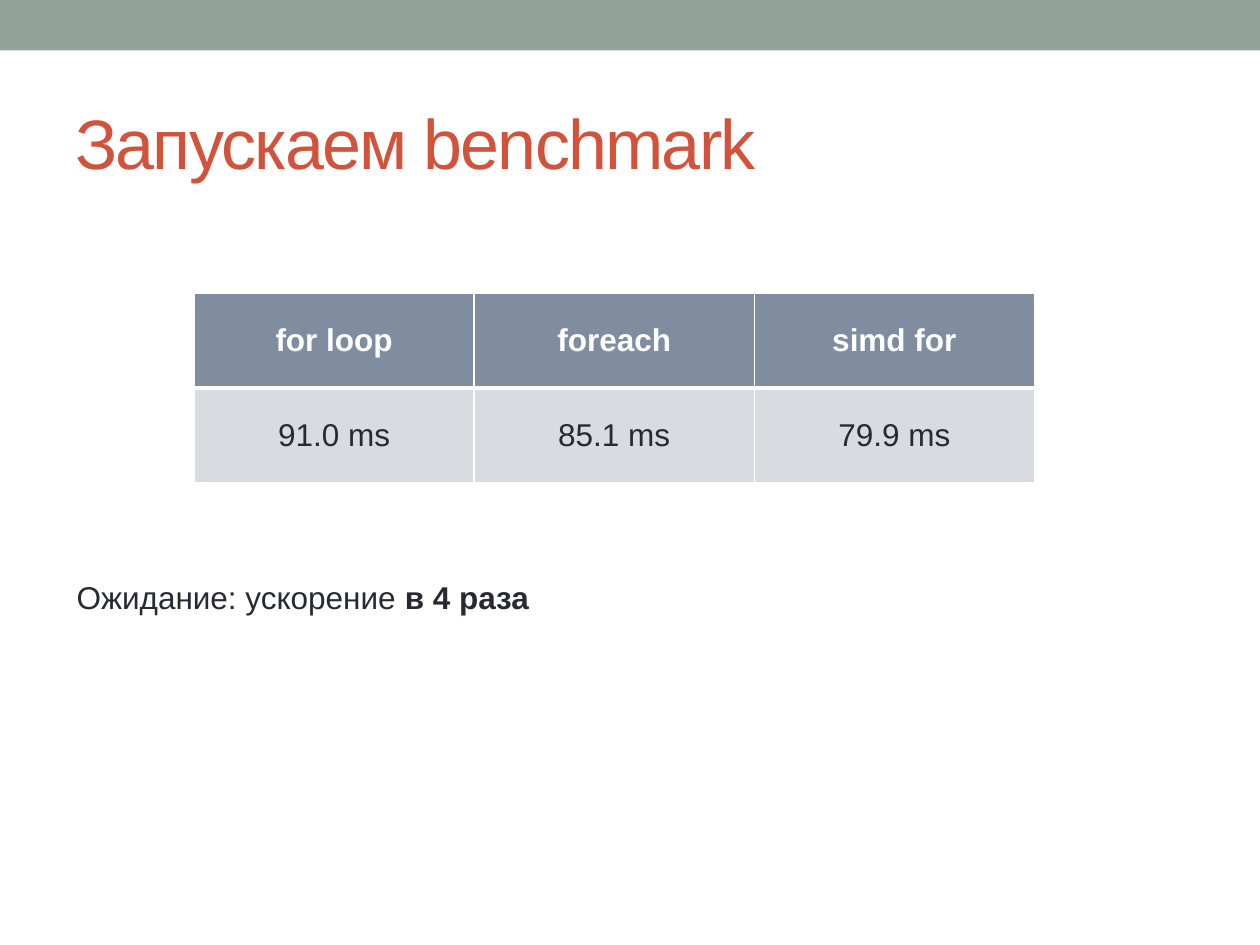
"""Build the benchmark results slide."""
import pptx
import pptx.dml.color
import pptx.enum.shapes
import pptx.enum.text
import pptx.oxml.ns
import pptx.util
import lxml.etree
from pptx.util import Inches

COLORS = {
    "band": "93A299",
    "title": "D2533C",
    "header": "808DA0",
    "body": "D8DBDF",
    "text": "292934",
    "white": "FFFFFF",
}
RESULTS = [
    ("for loop", "foreach", "simd for"),
    ("91.0 ms", "85.1 ms", "79.9 ms"),
]


def rgb(name):
    """Return the named colour."""
    return pptx.dml.color.RGBColor.from_string(COLORS[name])


def style_span(span, size, color, bold=False):
    """Set the font of one run."""
    span.font.name = "Arial"
    span.font.size = pptx.util.Pt(size)
    span.font.bold = bold
    span.font.color.rgb = rgb(color)


def add_band(page):
    """Add the coloured band along the top edge."""
    band = page.shapes.add_shape(
        pptx.enum.shapes.MSO_SHAPE.RECTANGLE, 0, 0, Inches(10), Inches(0.4))
    band.shadow.inherit = False
    band.fill.solid()
    band.fill.fore_color.rgb = rgb("band")
    band.line.fill.background()


def add_text(page, left, top, width, height, spans, size, color, wrap=True):
    """Add a text box of (text, bold) spans and return it."""
    box = page.shapes.add_textbox(
        Inches(left), Inches(top), Inches(width), Inches(height))
    box.text_frame.word_wrap = wrap
    para = box.text_frame.paragraphs[0]
    for text, bold in spans:
        span = para.add_run()
        span.text = text
        style_span(span, size, color, bold)
    return box


def add_title(page, text):
    """Add the slide title with tightened letter spacing."""
    box = add_text(page, 0.5, 0.58, 9, 1.08, [(text, False)], 40, "title")
    box.text_frame.vertical_anchor = pptx.enum.text.MSO_ANCHOR.MIDDLE
    span = box.text_frame.paragraphs[0].runs[0]
    span.font._element.set("spc", "-100")


def add_border(cell, side, width):
    """Add a white border to one side of a cell."""
    qn = pptx.oxml.ns.qn
    line = lxml.etree.SubElement(
        cell._tc.get_or_add_tcPr(), qn(f"a:ln{side}"), w=str(pptx.util.Pt(width)))
    fill = lxml.etree.SubElement(line, qn("a:solidFill"))
    lxml.etree.SubElement(fill, qn("a:srgbClr"), val=COLORS["white"])


def style_cell(cell, text, is_header):
    """Fill one table cell with centred text."""
    for side in "LRTB":
        heavy = side == ("B" if is_header else "T")
        add_border(cell, side, 3 if heavy else 1)
    cell.fill.solid()
    cell.fill.fore_color.rgb = rgb("header" if is_header else "body")
    cell.vertical_anchor = pptx.enum.text.MSO_ANCHOR.MIDDLE
    cell.text_frame.text = text
    para = cell.text_frame.paragraphs[0]
    para.alignment = pptx.enum.text.PP_ALIGN.CENTER
    style_span(para.runs[0], 18, "white" if is_header else "text", is_header)


def add_results(page, rows):
    """Add the table of timings."""
    table = page.shapes.add_table(
        len(rows), len(rows[0]),
        Inches(1.54), Inches(2.33), Inches(6.67), Inches(1.5)).table
    for row_index, row in enumerate(rows):
        for column_index, text in enumerate(row):
            style_cell(table.cell(row_index, column_index), text, row_index == 0)


def main():
    """Build and save the deck."""
    deck = pptx.Presentation()
    deck.slide_width, deck.slide_height = Inches(10), Inches(7.5)
    page = deck.slides.add_slide(deck.slide_layouts[6])
    add_band(page)
    add_title(page, "Запускаем benchmark")
    add_results(page, RESULTS)
    expectation = [("Ожидание: ускорение ", False), ("в 4 раза", True)]
    box = add_text(page, 0.51, 4.54, 3.83, 0.4, expectation, 18, "text", wrap=False)
    box.text_frame.auto_size = pptx.enum.text.MSO_AUTO_SIZE.SHAPE_TO_FIT_TEXT
    deck.save("out.pptx")


main()
